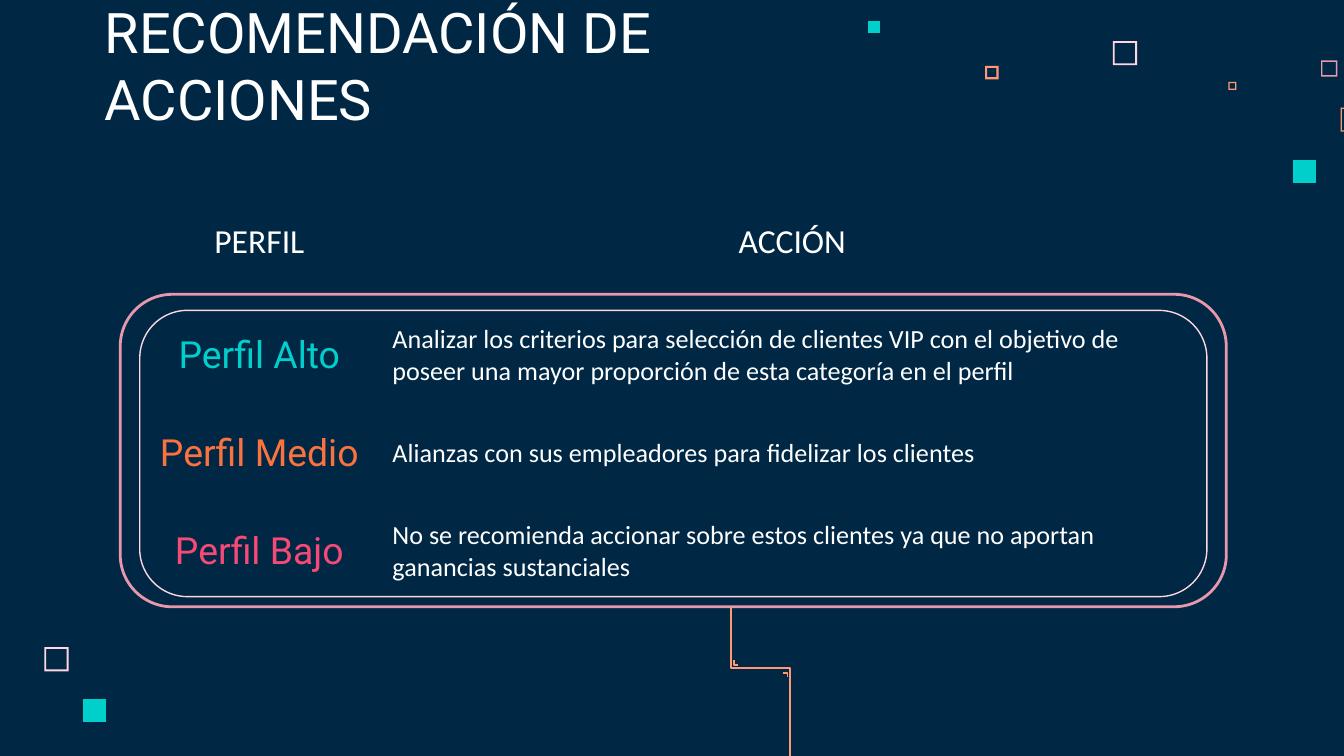
from pptx import Presentation
from pptx.dml.color import RGBColor
from pptx.enum.shapes import MSO_SHAPE as Preset
from pptx.enum.text import MSO_ANCHOR as Anchor, PP_ALIGN as Align
from pptx.oxml.ns import qn
from pptx.util import Inches, Pt

COLORS = {
    "navy": "002845", "white": "FFFFFF", "teal": "00CFCC", "orange": "FC723F",
    "red": "F64975", "peach": "FF9973", "rose": "E898AC", "blush": "FFD6E1",
}

# The slide is a grid of square cells: 100 columns by 56.25 rows
COLUMNS, ROWS = 100, 56.25
CELL = Inches(10) / COLUMNS
MARGIN = 1
NO_STYLE_NO_GRID = "{2D5ABB26-0587-4C30-8999-92F81FD0307C}"

TITLE_FORMAT = {"name": "Roboto", "size": Pt(30)}
HEADER_FORMAT = {"name": "Calibri", "size": Pt(18)}
PROFILE_FORMAT = {"name": "Roboto", "size": Pt(20)}
ACTION_FORMAT = {"name": "Calibri", "size": Pt(14)}

# Column, row, side, frame thickness (0 is solid), colour
SQUARES = [
    (82.8, 3.05, 1.8, 0.13, "blush"),
    (98.3, 4.5, 1.2, 0.1, "rose"),
    (91.4, 6.1, 0.6, 0.1, "peach"),
    (99.75, 8, 1.8, 0.1, "peach"),
    (96.2, 11.9, 1.7, 0, "teal"),
    (73.3, 4.9, 1, 0.15, "peach"),
    (64.6, 1.55, 0.9, 0, "teal"),
    (3.3, 48.15, 1.8, 0.13, "blush"),
    (6.2, 52, 1.7, 0, "teal"),
]

# Column, row, width, height, line width, colour
PANELS = [
    (8.95, 21.9, 82.3, 23.25, 1.5, "rose"),
    (10.4, 23.1, 79.4, 21.3, 0.75, "blush"),
]

# The stepped line under the panels and its two corner marks
TRACES = [
    [(54.4, 45.2), (54.4, 49.7), (58.8, 49.7), (58.8, 59.3)],
    [(58.3, 50.05), (58.6, 50.05), (58.6, 50.4)],
    [(54.6, 49.1), (54.6, 49.5), (54.9, 49.5)],
]

PROFILES = [
    ("Perfil Alto", "teal",
     "Analizar los criterios para selección de clientes VIP con el objetivo de "
     "poseer una mayor proporción de esta categoría en el perfil"),
    ("Perfil Medio", "orange",
     "Alianzas con sus empleadores para fidelizar los clientes"),
    ("Perfil Bajo", "red",
     "No se recomienda accionar sobre estos clientes ya que no aportan "
     "ganancias sustanciales"),
]


def grid(*lengths):
    return [round(length * CELL) for length in lengths]


def color(name):
    return RGBColor.from_string(COLORS[name])


def fill_solid(fill, name):
    fill.solid()
    fill.fore_color.rgb = color(name)


def set_line(shape, name, points):
    shape.line.color.rgb = color(name)
    shape.line.width = Pt(points)


def write(frame, text, text_format, name="white", align=Align.LEFT):
    paragraph = frame.paragraphs[0]
    paragraph.alignment = align
    run = paragraph.add_run()
    run.text = text
    for attribute, value in text_format.items():
        setattr(run.font, attribute, value)
    run.font.color.rgb = color(name)


def add_square(slide, left, top, side, thickness, name):
    def corners(inset):
        near, far = inset, side - inset
        return [grid(left + x, top + y) for x, y in
                ((near, near), (near, far), (far, far), (far, near))]

    outer, inner = corners(0), corners(thickness)
    builder = slide.shapes.build_freeform(*outer[0])
    builder.add_line_segments(outer[1:])
    if thickness:
        builder.move_to(*inner[0])
        builder.add_line_segments(inner[:0:-1])
    shape = builder.convert_to_shape()
    shape.shadow.inherit = False
    fill_solid(shape.fill, name)
    shape.line.fill.background()


def add_panel(slide, left, top, width, height, points, name):
    shape = slide.shapes.add_shape(
        Preset.ROUNDED_RECTANGLE, *grid(left, top, width, height))
    shape.shadow.inherit = False
    shape.fill.background()
    set_line(shape, name, points)


def add_trace(slide, points):
    start, *rest = [grid(*point) for point in points]
    builder = slide.shapes.build_freeform(*start)
    builder.add_line_segments(rest, close=False)
    shape = builder.convert_to_shape()
    shape.shadow.inherit = False
    shape.fill.background()
    set_line(shape, "peach", 1)


def add_title(slide, text):
    box = slide.shapes.add_textbox(*grid(6.8, 4.5, 51.7, 6.3))
    frame = box.text_frame
    frame.word_wrap = True
    frame.vertical_anchor = Anchor.BOTTOM
    for side in ("left", "top", "right", "bottom"):
        setattr(frame, f"margin_{side}", grid(MARGIN)[0])
    write(frame, text, TITLE_FORMAT)


def fill_cell(cell, anchor, *text):
    cell.fill.background()
    cell.vertical_anchor = anchor
    for side in ("left", "top", "right", "bottom"):
        setattr(cell, f"margin_{side}", grid(MARGIN)[0])
    write(cell.text_frame, *text)


def add_profile_table(slide):
    widths, row_height, count = (17.8, 61.5), 7.3, len(PROFILES) + 1
    table = slide.shapes.add_table(
        count, len(widths),
        *grid(10.4, 15.5, sum(widths), row_height * count)).table
    table.first_row = table.horz_banding = False
    table._tbl.tblPr.find(qn("a:tableStyleId")).text = NO_STYLE_NO_GRID
    for column, width in zip(table.columns, grid(*widths)):
        column.width = width

    for index, header in enumerate(("PERFIL", "ACCIÓN")):
        fill_cell(table.cell(0, index), Anchor.TOP,
                  header, HEADER_FORMAT, "white", Align.CENTER)
    for row, (profile, name, action) in enumerate(PROFILES, start=1):
        fill_cell(table.cell(row, 0), Anchor.MIDDLE,
                  profile, PROFILE_FORMAT, name, Align.CENTER)
        fill_cell(table.cell(row, 1), Anchor.MIDDLE, action, ACTION_FORMAT)


def main():
    presentation = Presentation()
    presentation.slide_width, presentation.slide_height = grid(COLUMNS, ROWS)
    slide = presentation.slides.add_slide(presentation.slide_layouts[6])
    fill_solid(slide.background.fill, "navy")

    # Scattered squares
    for square in SQUARES:
        add_square(slide, *square)

    # Double rounded outline
    for panel in PANELS:
        add_panel(slide, *panel)

    # Title and table
    add_title(slide, "RECOMENDACIÓN DE ACCIONES")
    add_profile_table(slide)

    # Stepped line
    for trace in TRACES:
        add_trace(slide, trace)

    presentation.save("out.pptx")


if __name__ == "__main__":
    main()
